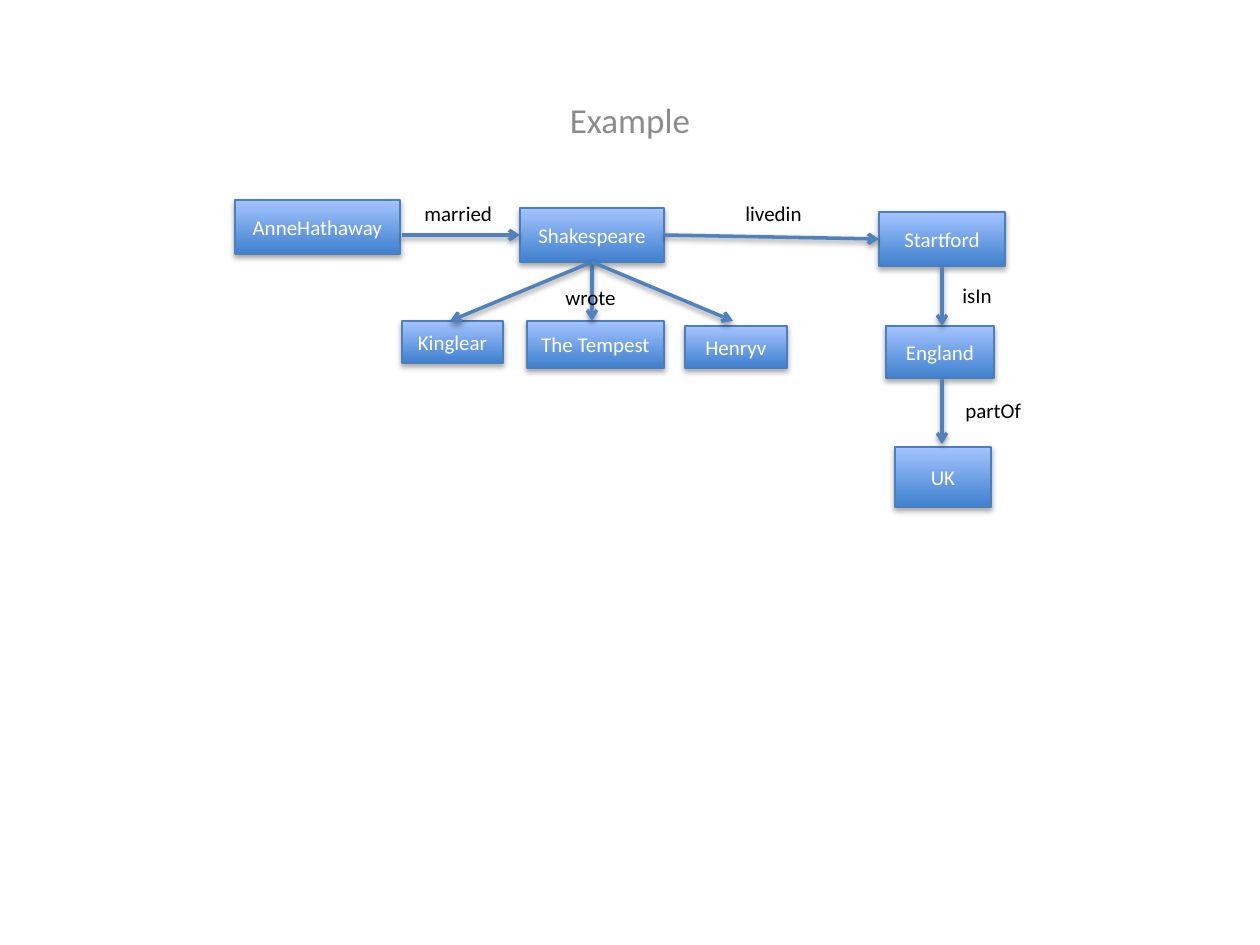
"""Build a slide with an example graph of entities and their relations."""
from lxml.etree import SubElement
from pptx import Presentation
from pptx.dml.color import RGBColor
from pptx.enum.shapes import MSO_CONNECTOR, MSO_SHAPE
from pptx.enum.text import MSO_ANCHOR, MSO_AUTO_SIZE, PP_ALIGN
from pptx.oxml.ns import qn
from pptx.util import Emu, Pt

PX = 914400 / 126
WHITE = RGBColor(0xFF, 0xFF, 0xFF)
BLACK = RGBColor(0x00, 0x00, 0x00)
GREY = RGBColor(0x8C, 0x8C, 0x8C)
DARK_BLUE = RGBColor(0x3F, 0x80, 0xCE)
LIGHT_BLUE = RGBColor(0xA4, 0xC4, 0xFF)
OUTLINE = RGBColor(0x4B, 0x7E, 0xBC)
ARROW = RGBColor(0x4F, 0x81, 0xBD)


def px(*values):
    return [Emu(round(v * PX)) for v in values]


def write(sp, text, size, color, align):
    p = sp.text_frame.paragraphs[0]
    p.alignment = align
    r = p.add_run()
    r.text = text
    for name, value in {"name": "Calibri", "size": Pt(size)}.items():
        setattr(r.font, name, value)
    r.font.color.rgb = color


prs = Presentation()
prs.slide_width, prs.slide_height = px(1260, 945)
s = prs.slides.add_slide(prs.slide_layouts[0])
title = s.shapes.title.element
title.getparent().remove(title)

sub = s.placeholders[1]
sub.left, sub.top, sub.width, sub.height = px(189, 92, 882, 704)
write(sub, "Example", 20, GREY, PP_ALIGN.CENTER)

boxes = {}
for text, *box in [
    ("AnneHathaway", 235, 200, 165, 54),
    ("Shakespeare", 520, 208, 144, 54),
    ("Kinglear", 402, 321, 101, 42),
    ("The Tempest", 527, 321, 137, 47),
    ("Henryv", 685, 326, 102, 42),
    ("Startford", 879, 212, 126, 54),
    ("England", 886, 326, 108, 52),
    ("UK", 895, 447, 96, 60),
]:
    sp = s.shapes.add_shape(MSO_SHAPE.RECTANGLE, *px(*box))
    sp.fill.gradient()
    sp.fill.gradient_angle = 90
    for stop, color, position in zip(sp.fill.gradient_stops, (DARK_BLUE, LIGHT_BLUE), (0, 1)):
        stop.color.rgb = color
        stop.position = position
    sp.line.color.rgb = OUTLINE
    sp.line.width = Pt(0.75)
    sp.text_frame.vertical_anchor = MSO_ANCHOR.MIDDLE
    write(sp, text, 12, WHITE, PP_ALIGN.CENTER)
    boxes[text] = sp

for ends, start, finish in [
    ((402, 235, 520, 235), None, ("Shakespeare", 1)),
    ((592, 262, 450, 321), ("Shakespeare", 2), None),
    ((592, 262, 592, 321), ("Shakespeare", 2), None),
    ((592, 262, 733, 321), ("Shakespeare", 2), None),
    ((664, 235, 879, 239), ("Shakespeare", 3), ("Startford", 1)),
    ((942, 266, 942, 326), ("Startford", 2), None),
    ((942, 378, 942, 444), None, None),
]:
    cxn = s.shapes.add_connector(MSO_CONNECTOR.STRAIGHT, *px(*ends))
    if start:
        cxn.begin_connect(boxes[start[0]], start[1])
    if finish:
        cxn.end_connect(boxes[finish[0]], finish[1])
    cxn.line.color.rgb = ARROW
    cxn.line.width = Pt(2)
    SubElement(cxn.line._get_or_add_ln(), qn("a:tailEnd"), type="arrow")

for text, *box in [
    ("married", 412, 194, 94, 38),
    ("wrote", 553, 278, 77, 38),
    ("livedin", 733, 194, 82, 38),
    ("isIn", 950, 276, 55, 38),
    ("partOf", 953, 391, 82, 38),
]:
    tb = s.shapes.add_textbox(*px(*box))
    tf = tb.text_frame
    for name, value in {"word_wrap": False, "auto_size": MSO_AUTO_SIZE.SHAPE_TO_FIT_TEXT}.items():
        setattr(tf, name, value)
    write(tb, text, 12, BLACK, PP_ALIGN.LEFT)

prs.save("out.pptx")
